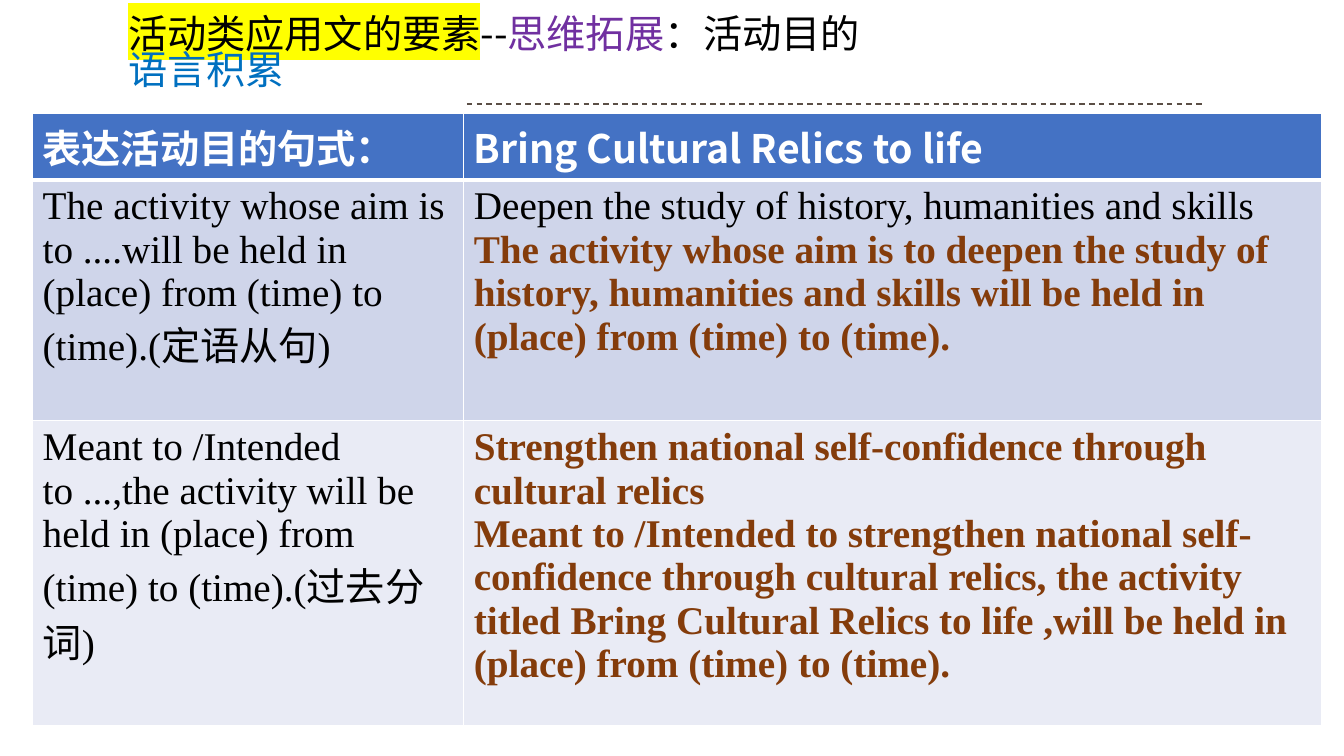
from lxml import etree
from pptx import Presentation
from pptx.dml.color import RGBColor
from pptx.enum.dml import MSO_LINE
from pptx.enum.shapes import MSO_CONNECTOR
from pptx.enum.text import MSO_ANCHOR
from pptx.oxml.ns import qn
from pptx.util import Pt

STRAIGHT = MSO_CONNECTOR.STRAIGHT
DASH = MSO_LINE.DASH
TOP = MSO_ANCHOR.TOP

COLORS = {
    "white": "FFFFFF", "black": "000000", "yellow": "FFFF00",
    "purple": "7030A0", "blue": "0070C0", "brown": "843C0B",
    "rule": "5B4F46", "header": "4472C4", "band_dark": "CFD5EA",
    "band_light": "E9EBF5",
}
SANS = "Noto Sans CJK SC"
SERIF = "Times New Roman"
TEXT_SIZE = 28

# Each run is (text, colour, bold); each cell is a list of one-run paragraphs.
SENTENCE_ROWS = [
    ([("表达活动目的句式：", "white", True)],
     [("Bring Cultural Relics to life", "white", True)]),
    ([("The activity whose aim is to ....will be held in (place) from (time) "
       "to (time).(定语从句)", "black", False)],
     [("Deepen the study of history, humanities and skills", "black", False),
      ("The activity whose aim is to deepen the study of history, humanities "
       "and skills will be held in (place) from (time) to (time).",
       "brown", True)]),
    ([("Meant to /Intended to ...,the activity will be held in (place) from "
       "(time) to (time).(过去分词)", "black", False)],
     [("Strengthen national self-confidence through cultural relics",
       "brown", True),
      ("Meant to /Intended to strengthen national self-confidence through "
       "cultural relics, the activity titled Bring Cultural Relics to life "
       ",will be held in (place) from (time) to (time).", "brown", True)]),
]
ROW_FILLS = ["header", "band_dark", "band_light"]
ROW_HEIGHTS = [47.5, 172, 218]
COLUMN_WIDTHS = [308, 612.5]

TITLE_LINES = [
    [("活动类应用文的要素", "black", "yellow"), ("--", "black", None),
     ("思维拓展", "purple", None), ("：活动目的", "black", None)],
    [("语言积累", "blue", None)],
]


def rgb(color):
    return RGBColor.from_string(COLORS[color])


def add_run(paragraph, text, color, face, bold=False, highlight=None):
    run = paragraph.add_run()
    run.text = text
    font = run.font
    font.size = Pt(TEXT_SIZE)
    font.bold = bold
    font.color.rgb = rgb(color)
    properties = font._element
    if highlight:
        marker = etree.SubElement(properties, qn("a:highlight"))
        etree.SubElement(marker, qn("a:srgbClr"), val=COLORS[highlight])
    font.name = face
    etree.SubElement(properties, qn("a:ea"), typeface=SANS)


def paragraphs_for(frame, items):
    """Pair each item with its own paragraph of the text frame."""
    for index, item in enumerate(items):
        yield (frame.add_paragraph() if index else frame.paragraphs[0]), item


def add_rule(slide, left, right, y):
    rule = slide.shapes.add_connector(STRAIGHT, Pt(left), Pt(y), Pt(right), Pt(y))
    rule.line.color.rgb = rgb("rule")
    rule.line.width = Pt(1)
    rule.line.dash_style = DASH
    etree.SubElement(rule._element.spPr, qn("a:effectLst"))


def add_title(slide, left, top, width, height):
    frame = slide.shapes.add_textbox(
        Pt(left), Pt(top), Pt(width), Pt(height)).text_frame
    frame.word_wrap = True
    frame.vertical_anchor = TOP
    for paragraph, runs in paragraphs_for(frame, TITLE_LINES):
        paragraph.line_spacing = 0.76
        for text, color, highlight in runs:
            add_run(paragraph, text, color, SANS, highlight=highlight)


def set_borders(cell, bottom_width):
    """Draw white borders; call before the fill, which must follow them."""
    properties = cell._tc.get_or_add_tcPr()
    for side in "LRTB":
        width = bottom_width if side == "B" else 1
        border = etree.SubElement(properties, qn(f"a:ln{side}"), w=str(Pt(width)))
        fill = etree.SubElement(border, qn("a:solidFill"))
        etree.SubElement(fill, qn("a:srgbClr"), val=COLORS["white"])


def add_sentence_table(slide, left, top):
    table = slide.shapes.add_table(
        len(ROW_HEIGHTS), len(COLUMN_WIDTHS), Pt(left), Pt(top),
        Pt(sum(COLUMN_WIDTHS)), Pt(sum(ROW_HEIGHTS))).table
    for column, width in zip(table.columns, COLUMN_WIDTHS):
        column.width = Pt(width)
    for row_index, sentences in enumerate(SENTENCE_ROWS):
        table.rows[row_index].height = Pt(ROW_HEIGHTS[row_index])
        is_header = row_index == 0
        for column_index, lines in enumerate(sentences):
            cell = table.cell(row_index, column_index)
            set_borders(cell, 3 if is_header else 1)
            cell.fill.solid()
            cell.fill.fore_color.rgb = rgb(ROW_FILLS[row_index])
            for paragraph, (text, color, bold) in paragraphs_for(
                    cell.text_frame, lines):
                add_run(paragraph, text, color, SANS if is_header else SERIF, bold)


def main():
    presentation = Presentation()
    presentation.slide_width = Pt(960)
    presentation.slide_height = Pt(540)
    slide = presentation.slides.add_slide(presentation.slide_layouts[6])
    add_rule(slide, 333.5, 861, 74.3)
    add_title(slide, 84.5, 11, 561.5, 42)
    add_sentence_table(slide, 23.3, 81)
    presentation.save("out.pptx")


if __name__ == "__main__":
    main()
